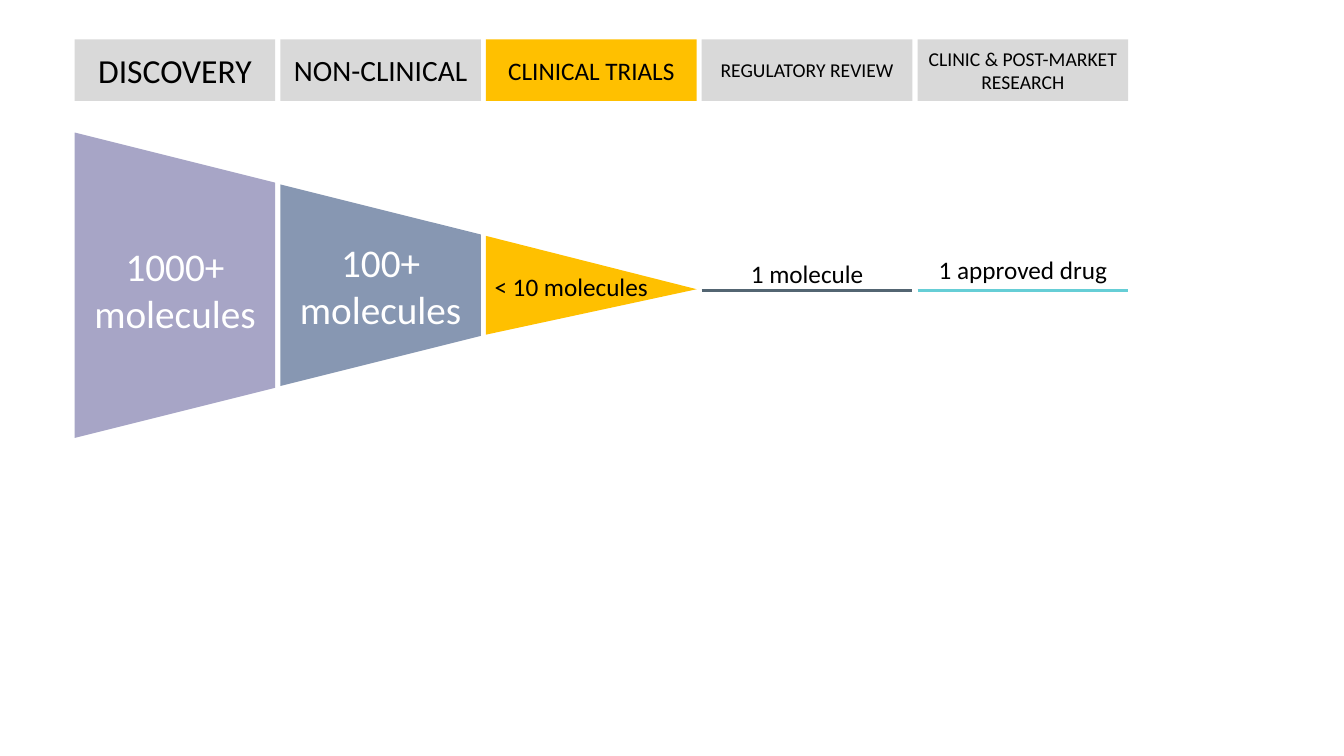
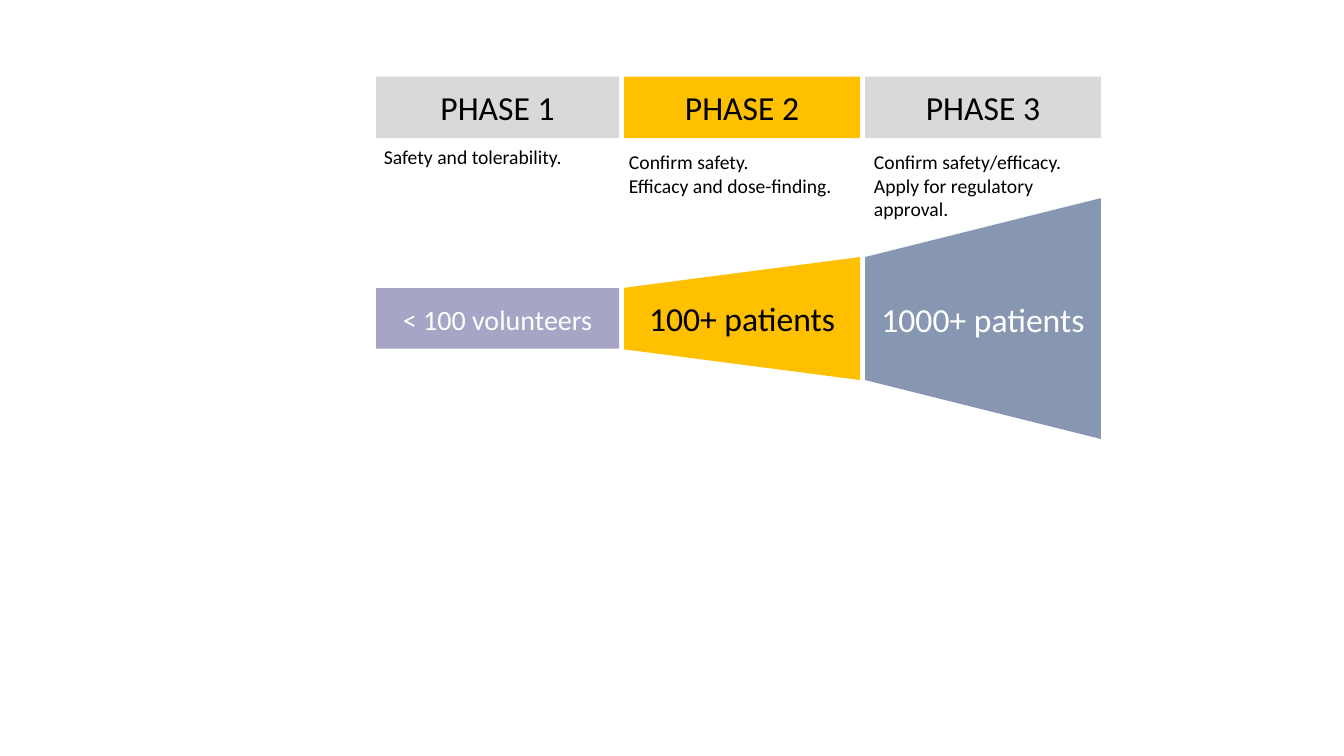
import lxml.etree
import pptx
import pptx.dml.color
import pptx.enum.shapes
import pptx.enum.text
import pptx.oxml.ns
import pptx.util

SHAPES = pptx.enum.shapes.MSO_SHAPE
ALIGN = pptx.enum.text.PP_ALIGN
ANCHOR = pptx.enum.text.MSO_ANCHOR
inches = pptx.util.Inches

FONT = "Calibri"
COLORS = {
    "black": "000000", "white": "FFFFFF", "grey": "D9D9D9", "gold": "FFC000",
    "lilac": "A7A5C6", "blue": "8797B2", "slate": "536572", "teal": "66CED6",
}
GAP = 0.05
HEADER_HEIGHT = 0.61

# Body: (form, colour, height, rotation). Rotation 90 narrows to the right, 270 to the left.
# Caption: (lines, size, colour, middle, shift from the column centre).
# Note: (lines, left, top).
FUNNELS = [
    {
        "left": 0.74, "header_top": 0.39, "middle": 2.83, "line_y": 2.88,
        "stages": [
            {"name": "DISCOVERY", "size": 24, "width": 1.99,
             "body": ("trapezoid", "lilac", 3.03, 90),
             "caption": (["1000+", "molecules"], 28, "white", 2.87, 0)},
            {"name": "NON-CLINICAL", "size": 21, "width": 1.99,
             "body": ("trapezoid", "blue", 2, 90),
             "caption": (["100+", "molecules"], 28, "white", 2.83, 0)},
            {"name": "CLINICAL TRIALS", "size": 18, "width": 2.09, "focus": True,
             "body": ("triangle", "gold", 0.98, 90),
             "caption": (["< 10 molecules"], 18, "black", 2.84, -0.2)},
            {"name": "REGULATORY REVIEW", "size": 14, "width": 2.09,
             "body": ("line", "slate", 0, 0),
             "caption": (["1 molecule"], 18, "black", 2.71, 0)},
            {"name": "CLINIC & POST-MARKET RESEARCH", "size": 14, "width": 2.09,
             "body": ("line", "teal", 0, 0),
             "caption": (["1 approved drug"], 18, "black", 2.67, 0)},
        ],
    },
    {
        "left": 3.73, "header_top": 0.76, "middle": 3.16,
        "stages": [
            {"name": "PHASE 1", "size": 24, "width": 2.41,
             "body": ("rectangle", "lilac", 0.6, 0),
             "caption": (["< 100 volunteers"], 20, "white", 3.17, 0),
             "note": (["Safety and tolerability."], 3.71, 1.39)},
            {"name": "PHASE 2", "size": 24, "width": 2.34, "focus": True,
             "body": ("trapezoid", "gold", 1.22, 270),
             "caption": (["100+ patients"], 24, "black", 3.16, 0),
             "note": (["Confirm safety.", "Efficacy and dose-finding."], 6.14, 1.44)},
            {"name": "PHASE 3", "size": 24, "width": 2.34,
             "body": ("trapezoid", "blue", 2.39, 270),
             "caption": (["1000+ patients"], 24, "white", 3.17, 0),
             "note": (["Confirm safety/efficacy.", "Apply for regulatory approval."],
                      8.57, 1.44)},
        ],
    },
]

FORMS = {"trapezoid": SHAPES.TRAPEZOID, "triangle": SHAPES.ISOSCELES_TRIANGLE,
         "rectangle": SHAPES.RECTANGLE}
TRIANGLE_APEX = 0.54


def rgb(color):
    return pptx.dml.color.RGBColor.from_string(COLORS[color])


def write(shape, lines, size, color="black", align=ALIGN.CENTER, anchor=ANCHOR.MIDDLE):
    frame = shape.text_frame
    frame.word_wrap = True
    frame.vertical_anchor = anchor
    frame.text = "\n".join(lines)
    for paragraph in frame.paragraphs:
        paragraph.alignment = align
        font = paragraph.font
        font.name, font.size = FONT, pptx.util.Pt(size)
        font.color.rgb = rgb(color)


def add_text(slide, lines, left, top, width, height, **style):
    box = slide.shapes.add_textbox(inches(left), inches(top), inches(width), inches(height))
    write(box, lines, **style)


def add_form(slide, form, color, center_x, middle, width, height, rotation=0):
    """Draw a form whose width and height are those seen after rotation."""
    if rotation in (90, 270):
        width, height = height, width
    shape = slide.shapes.add_shape(
        FORMS[form], inches(center_x - width / 2), inches(middle - height / 2),
        inches(width), inches(height))
    shape.rotation = rotation
    shape.shadow.inherit = False
    shape.fill.solid()
    shape.fill.fore_color.rgb = rgb(color)
    shape.line.fill.background()
    if form == "triangle":
        shape.adjustments[0] = TRIANGLE_APEX
    return shape


def add_line(slide, color, left, right, y):
    line = slide.shapes.add_connector(
        pptx.enum.shapes.MSO_CONNECTOR.STRAIGHT,
        inches(left), inches(y), inches(right), inches(y))
    line.line.color.rgb = rgb(color)
    line.line.width = pptx.util.Pt(2.5)
    lxml.etree.SubElement(line._element.spPr, pptx.oxml.ns.qn("a:effectLst"))


def add_stage(slide, funnel, stage, left):
    width = stage["width"]
    center_x = left + width / 2

    header = add_form(slide, "rectangle", "gold" if stage.get("focus") else "grey",
                      center_x, funnel["header_top"] + HEADER_HEIGHT / 2,
                      width, HEADER_HEIGHT)
    write(header, [stage["name"]], stage["size"])

    form, color, height, rotation = stage["body"]
    if form == "line":
        add_line(slide, color, left, left + width, funnel["line_y"])
    else:
        add_form(slide, form, color, center_x, funnel["middle"], width, height, rotation)

    lines, size, text_color, middle, shift = stage["caption"]
    caption_height = 0.5 * len(lines)
    add_text(slide, lines, left + shift, middle - caption_height / 2, width, caption_height,
             size=size, color=text_color)

    if "note" in stage:
        lines, note_left, top = stage["note"]
        add_text(slide, lines, note_left, top, 2.3, 0.8, size=14,
                 align=ALIGN.LEFT, anchor=ANCHOR.TOP)


def main():
    deck = pptx.Presentation()
    deck.slide_width, deck.slide_height = inches(13.33), inches(7.5)
    blank = deck.slide_layouts[6]
    for funnel in FUNNELS:
        slide = deck.slides.add_slide(blank)
        left = funnel["left"]
        for stage in funnel["stages"]:
            add_stage(slide, funnel, stage, left)
            left += stage["width"] + GAP
    deck.save("out.pptx")


if __name__ == "__main__":
    main()
